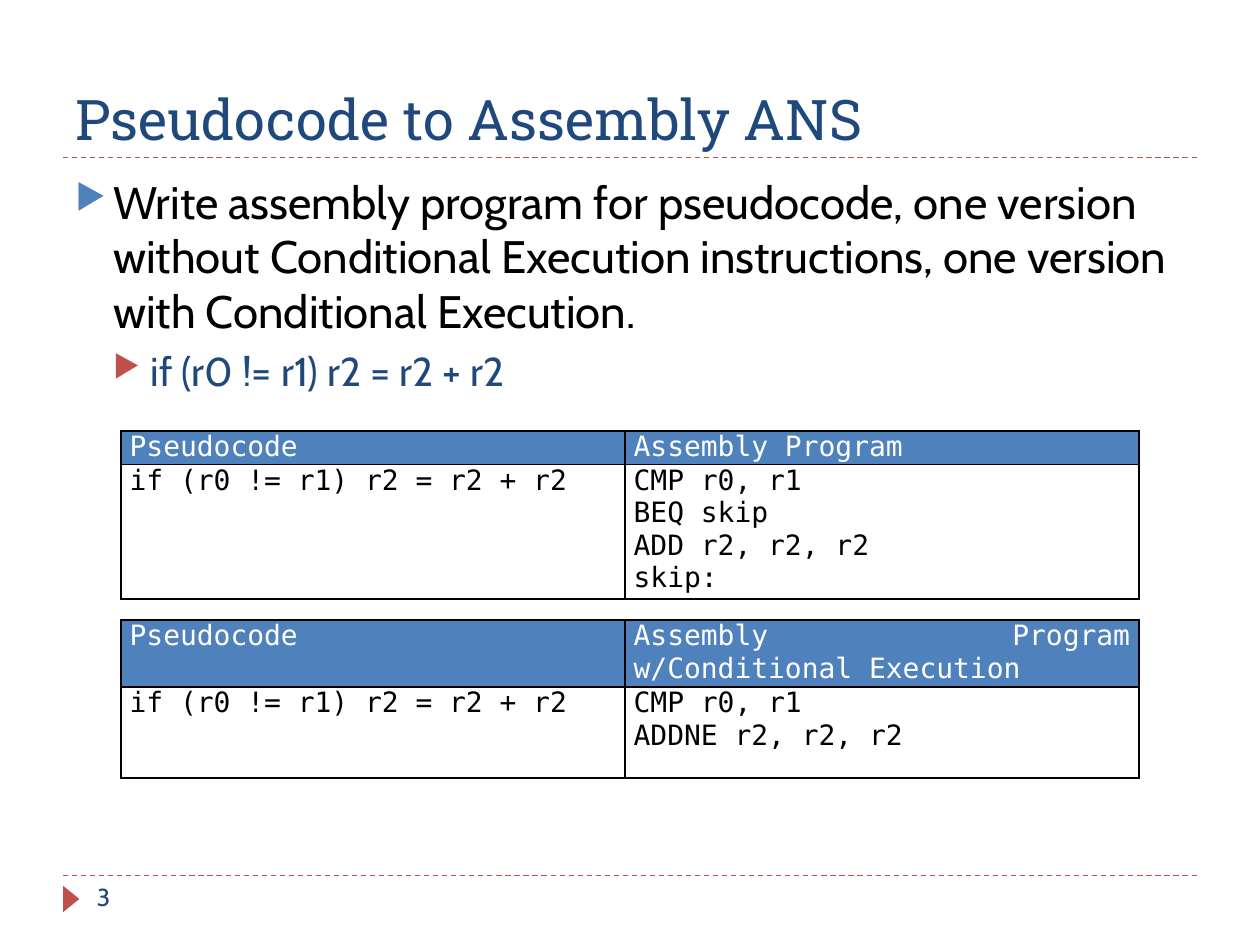
from lxml.etree import SubElement
from pptx import Presentation
from pptx.dml.color import RGBColor
from pptx.enum.dml import MSO_LINE
from pptx.enum.shapes import MSO_CONNECTOR, MSO_SHAPE
from pptx.enum.text import MSO_ANCHOR, PP_ALIGN
from pptx.oxml.ns import qn
from pptx.util import Inches, Pt

COLORS = {"navy": "1F497D", "blue": "4F81BD", "red": "C0504D",
          "black": "000000", "white": "FFFFFF"}
TITLE_FONT, BODY_FONT, CODE_FONT = "Roboto Slab", "Cabin", "DejaVu Sans Mono"

TITLE = "Pseudocode to Assembly ANS"
PAGE_NUMBER = "3"
STATEMENT = "if (r0 != r1) r2 = r2 + r2"
# text, size, text colour, bullet colour, indent, space before
BULLETS = [
    ("Write assembly program for pseudocode, one version without Conditional "
     "Execution instructions, one version with Conditional Execution.",
     26, "black", "blue", 0.3, 6),
    (STATEMENT, 23, "navy", "red", 0.6, 5),
]
# top, row heights, rows of cells
TABLES = [
    (3.42, (0.25, 1.03), [
        ("Pseudocode", "Assembly Program"),
        (STATEMENT, "CMP r0, r1\nBEQ skip\nADD r2, r2, r2\nskip:")]),
    (4.92, (0.52, 0.72), [
        ("Pseudocode", "Assembly Program w/Conditional Execution"),
        (STATEMENT, "CMP r0, r1\nADDNE r2, r2, r2")]),
]
TABLE_LEFT, COLUMN_WIDTHS = 0.96, (4, 4.08)
RULE_TOPS = (1.25, 6.95)


def color(name):
    return RGBColor.from_string(COLORS[name])


def style(paragraph, font, size, color_name):
    for span in paragraph.runs:
        span.font.name = font
        span.font.size = Pt(size)
        span.font.color.rgb = color(color_name)


def add_text(slide, text, place, font, size, color_name, anchor=MSO_ANCHOR.TOP):
    box = slide.shapes.add_textbox(*map(Inches, place))
    frame = box.text_frame
    frame.word_wrap = True
    frame.vertical_anchor = anchor
    frame.text = text
    for para in frame.paragraphs:
        style(para, font, size, color_name)
    return box


def add_bullet(paragraph, color_name, indent):
    properties = paragraph._p.get_or_add_pPr()
    properties.set("marL", str(Inches(indent)))
    properties.set("indent", str(-Inches(0.3)))
    bullet_color = SubElement(properties, qn("a:buClr"))
    SubElement(bullet_color, qn("a:srgbClr"), val=COLORS[color_name])
    SubElement(properties, qn("a:buSzPct"), val="76000")
    SubElement(properties, qn("a:buChar"), char="▶")


def add_rule(slide, top):
    rule = slide.shapes.add_connector(
        MSO_CONNECTOR.STRAIGHT, Inches(0.5), Inches(top), Inches(9.5), Inches(top))
    rule.line.color.rgb = color("red")
    rule.line.width = Pt(0.75)
    rule.line.dash_style = MSO_LINE.DASH
    SubElement(rule._element.spPr, qn("a:effectLst"))


def border_cell(cell):
    """Draw a thin black line on all four sides; call before setting the fill."""
    properties = cell._tc.get_or_add_tcPr()
    for side in ("lnL", "lnR", "lnT", "lnB"):
        line = SubElement(properties, qn(f"a:{side}"), w=str(Pt(1)))
        fill = SubElement(line, qn("a:solidFill"))
        SubElement(fill, qn("a:srgbClr"), val=COLORS["black"])


def fill_cell(cell, text, is_header, justified):
    border_cell(cell)
    if is_header:
        cell.fill.solid()
        cell.fill.fore_color.rgb = color("blue")
    else:
        cell.fill.background()
    cell.margin_left = cell.margin_right = Inches(0.07)
    cell.margin_top = cell.margin_bottom = 0
    cell.text_frame.text = text
    for para in cell.text_frame.paragraphs:
        para.alignment = PP_ALIGN.JUSTIFY if justified else PP_ALIGN.LEFT
        style(para, CODE_FONT, 16, "white" if is_header else "black")


def add_code_table(slide, top, heights, rows):
    table = slide.shapes.add_table(
        len(rows), len(COLUMN_WIDTHS), Inches(TABLE_LEFT), Inches(top),
        Inches(sum(COLUMN_WIDTHS)), Inches(sum(heights))).table
    table.horz_banding = False
    for column, width in zip(table.columns, COLUMN_WIDTHS):
        column.width = Inches(width)
    for r, (height, texts) in enumerate(zip(heights, rows)):
        table.rows[r].height = Inches(height)
        for c, text in enumerate(texts):
            fill_cell(table.cell(r, c), text, r == 0, r == 0 or c == 1)
            for span in (s for p in table.cell(r, c).text_frame.paragraphs for s in p.runs):
                span.font.bold = False


def main():
    deck = Presentation()
    deck.slide_width, deck.slide_height = Inches(10), Inches(7.5)
    slide = deck.slides.add_slide(deck.slide_layouts[6])

    for top in RULE_TOPS:
        add_rule(slide, top)
    marker = slide.shapes.add_shape(
        MSO_SHAPE.ISOSCELES_TRIANGLE, Inches(0.46), Inches(7.07), Inches(0.21), Inches(0.13))
    marker.rotation = 90
    marker.shadow.inherit = False
    marker.fill.solid()
    marker.fill.fore_color.rgb = color("red")
    marker.line.fill.background()

    add_text(slide, TITLE, (0.5, 0.17, 9, 1.08), TITLE_FONT, 32, "navy", MSO_ANCHOR.BOTTOM)
    add_text(slide, PAGE_NUMBER, (0.67, 6.95, 2.17, 0.4), BODY_FONT, 14, "navy")

    body = add_text(slide, "\n".join(bullet[0] for bullet in BULLETS),
                    (0.5, 1.33, 9, 2.25), BODY_FONT, 26, "black")
    for level, (para, bullet) in enumerate(zip(body.text_frame.paragraphs, BULLETS)):
        _, size, text_color, bullet_color, indent, space = bullet
        para.level = level
        para.space_before = Pt(space)
        style(para, BODY_FONT, size, text_color)
        add_bullet(para, bullet_color, indent)

    for table in TABLES:
        add_code_table(slide, *table)
    deck.save("out.pptx")


if __name__ == "__main__":
    main()
